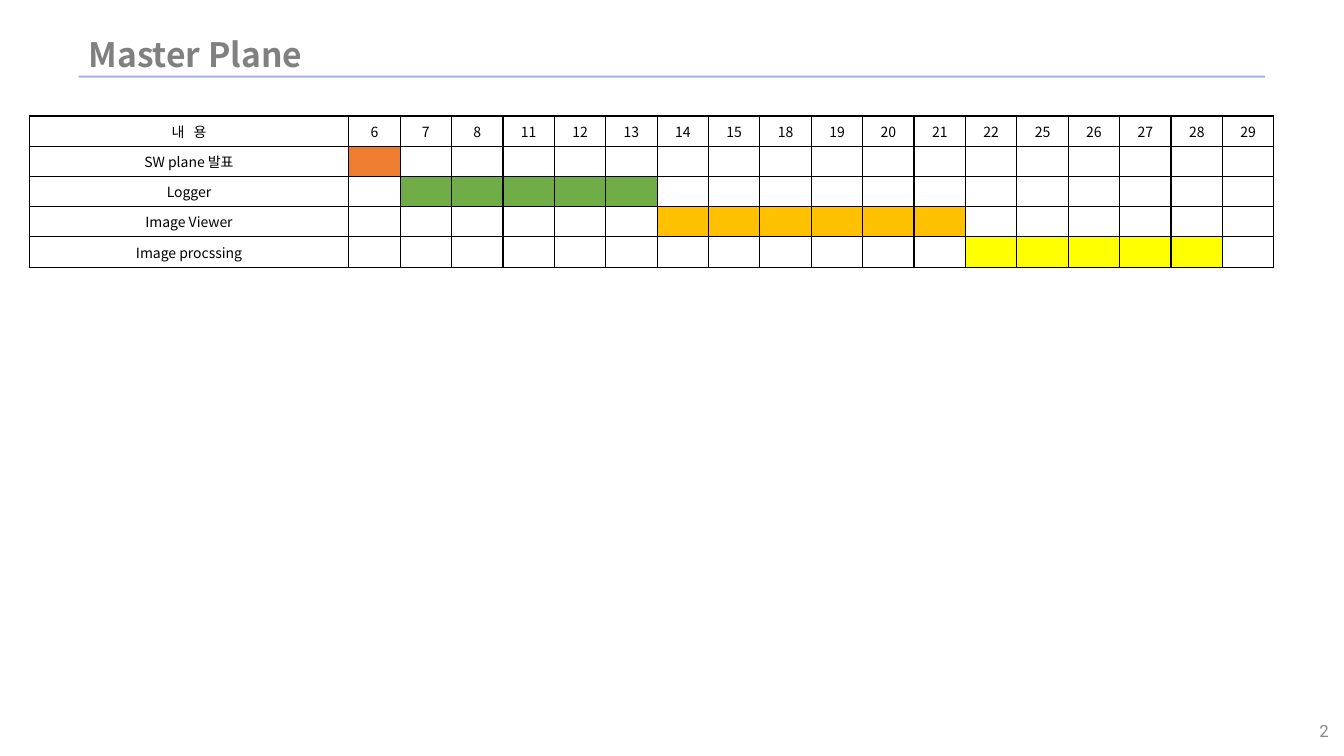
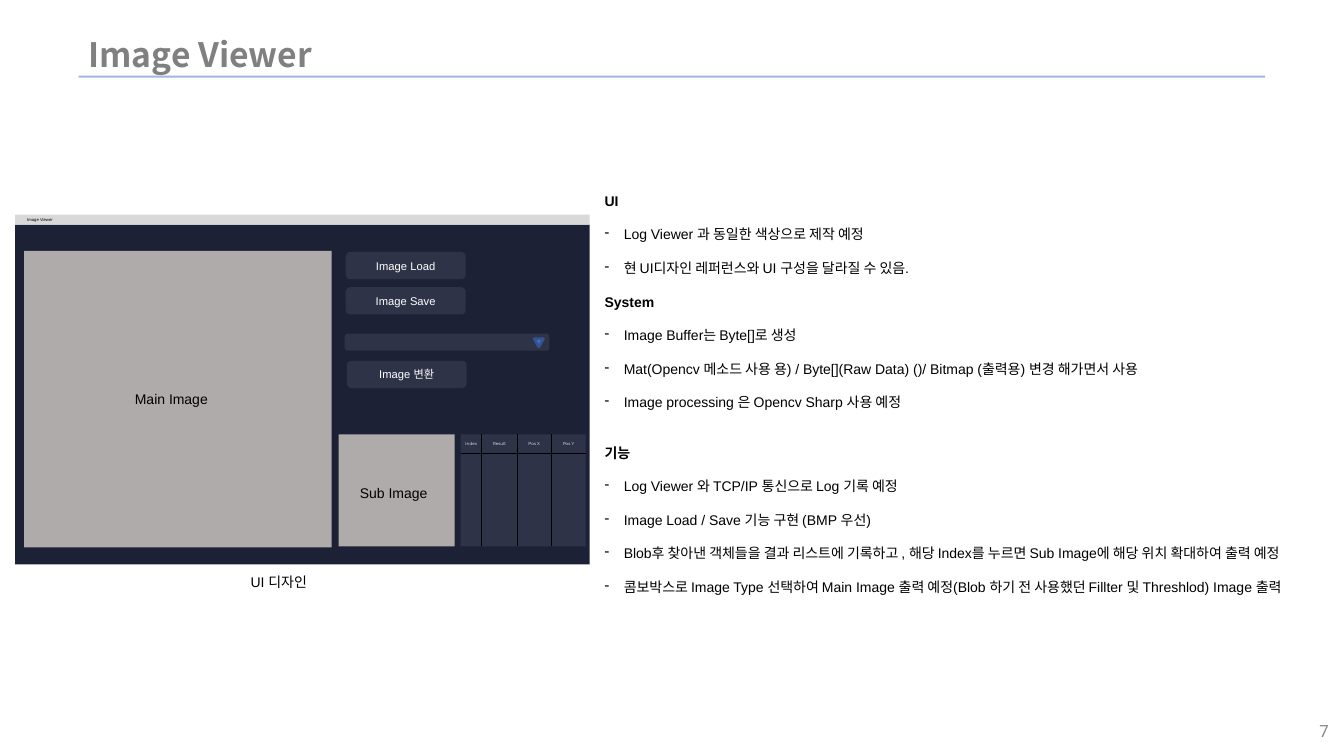
from itertools import pairwise

from lxml import etree
from pptx import Presentation
from pptx import util as u
from pptx.dml import color
from pptx.enum import shapes as sh, text as tx
from pptx.oxml import ns

CELL = 0.1
WIDE, HIGH = 133.33, 75
LEFT, RIGHT = 7.8, 125.5
CJK = "Noto Sans CJK KR"
BLACK, WHITE, GREY = "000000", "FFFFFF", "808080"
NAVY, PANEL, STONE = "1C2135", "2E3347", "AFABAB"
MID = tx.MSO_ANCHOR.MIDDLE
MIDDLE, END = tx.PP_ALIGN.CENTER, tx.PP_ALIGN.RIGHT
RECT = sh.MSO_SHAPE.RECTANGLE
ROUND = sh.MSO_SHAPE.ROUNDED_RECTANGLE

TITLE = dict(size=u.Pt(24), name=CJK, bold=True)
PAGE = dict(size=u.Pt(12), name="Roboto")
GRID = dict(size=u.Pt(10), name=CJK)
BODY = dict(size=u.Pt(10), name="Arial", bold=False)
HEAD = BODY | dict(bold=True)
KEY = dict(size=u.Pt(8), name="Arial")
BAR = dict(size=u.Pt(3), name="Arial")
TINY = dict(size=u.Pt(3), name="Montserrat")

DAYS = [6, 7, 8, 11, 12, 13, 14, 15, 18, 19, 20, 21, 22, 25, 26, 27, 28, 29]
TASKS = [
    ("SW plane 발표", "ED7D31", 6, 6),
    ("Logger", "70AD47", 7, 13),
    ("Image Viewer", "FFC000", 14, 21),
    ("Image procssing", "FFFF00", 22, 28),
]
NOTES = [
    ("UI", 0, [
        "Log Viewer 과 동일한 색상으로 제작 예정",
        "현 UI디자인 레퍼런스와 UI 구성을 달라질 수 있음.",
    ]),
    ("System", 0, [
        "Image Buffer는 Byte[]로 생성",
        "Mat(Opencv 메소드 사용 용) / Byte[](Raw Data) ()/ Bitmap (출력용) 변경 해가면서 사용",
        "Image processing 은 Opencv Sharp 사용 예정",
    ]),
    ("기능", 12, [
        "Log Viewer 와 TCP/IP 통신으로 Log 기록 예정",
        "Image Load / Save 기능 구현 (BMP 우선)",
        "Blob후 찾아낸 객체들을 결과 리스트에 기록하고 , 해당 Index를 누르면 Sub Image에 해당 위치 확대하여 출력 예정",
        "콤보박스로 Image Type 선택하여 Main Image 출력 예정(Blob 하기 전 사용했던 Fillter 및 Threshlod) Image 출력",
    ]),
]


def span(n):
    return u.Inches(n * CELL)


def hue(code):
    return color.RGBColor.from_string(code)


def style(item, form):
    for name, value in form.items():
        setattr(item, name, value)


def node(base, tag, **attrs):
    return etree.SubElement(base, ns.qn(tag), attrs)


def write(para, words, font, ink=BLACK, **form):
    style(para, form)
    run = para.add_run()
    run.text = words
    style(run.font, font)
    run.font.color.rgb = hue(ink)
    node(run.font._element, "a:ea", typeface=CJK)
    return run


def label(pool, box, words, font, ink=BLACK, align=None, **form):
    frame = pool.add_textbox(*map(span, box)).text_frame
    style(frame, dict(word_wrap=True) | form)
    if words:
        write(frame.paragraphs[0], words, font, ink, alignment=align)
    return frame


def block(pool, kind, box, fill):
    item = pool.add_shape(kind, *map(span, box))
    item.shadow.inherit = False
    item.fill.solid()
    item.fill.fore_color.rgb = hue(fill)
    item.line.fill.background()
    return item


def rule(pool, ends, ink=BLACK, width=0.75, alpha=100):
    item = pool.add_connector(sh.MSO_CONNECTOR.STRAIGHT, *map(span, ends))
    style(item.line, dict(width=u.Pt(width)))
    item.line.color.rgb = hue(ink)
    tint = item.line._ln.find(".//" + ns.qn("a:srgbClr"))
    node(tint, "a:alpha", val=str(alpha * 1000))
    node(item._element.spPr, "a:effectLst")


def button(pool, x, y, words):
    item = block(pool, ROUND, (x, y, 11.9, 2.7), PANEL)
    item.text_frame.vertical_anchor = MID
    write(item.text_frame.paragraphs[0], words, KEY, WHITE, alignment=MIDDLE)


def page(deck, title, number):
    pool = deck.slides.add_slide(deck.slide_layouts[6]).shapes
    rule(pool, (LEFT, 7.6, RIGHT, 7.6), "3F6FC3", 1.5, 50)
    label(pool, (LEFT, 3.1, RIGHT - LEFT, 4.5), title, TITLE, GREY, vertical_anchor=MID)
    label(pool, (106.8, 70.5, 26, 4), number, PAGE, "898989", END, vertical_anchor=MID)
    return pool


def edge(cell):
    base = cell._tc.get_or_add_tcPr()
    for side in "LRTB":
        line = node(base, "a:ln" + side, w=str(u.Pt(1)))
        node(node(line, "a:solidFill"), "a:srgbClr", val=BLACK)


def fill(cell, words, paint):
    edge(cell)
    cell.vertical_anchor = MID
    para = cell.text_frame.paragraphs[0]
    if words:
        write(para, words, GRID, alignment=MIDDLE)
    else:
        node(para._p, "a:endParaRPr", sz="1000")
    if paint:
        cell.fill.solid()
        cell.fill.fore_color.rgb = hue(paint)
    else:
        cell.fill.background()


def chart(pool):
    rows = [[("내 용", None)] + [(str(day), None) for day in DAYS]]
    for name, paint, first, last in TASKS:
        bars = [("", paint if first <= day <= last else None) for day in DAYS]
        rows.append([(name, None)] + bars)
    wide, step, tall = 31.7, 5.1, 3
    size = (wide + step * len(DAYS), tall * len(rows))
    table = pool.add_table(len(rows), len(rows[0]), *map(span, (2.9, 11.5, *size))).table
    style(table, dict(first_row=False, horz_banding=False))
    for i, col in enumerate(table.columns):
        col.width = span(step if i else wide)
    for line, row in zip(table.rows, rows):
        line.height = span(tall)
        for cell, (words, paint) in zip(line.cells, row):
            fill(cell, words, paint)
    head = table.cell(0, 0).text_frame.paragraphs[0].runs[0]
    head.font._element.set("spc", "220")


def notes(pool):
    frame = label(pool, (59, 18.6, 74.4, 43.1), "", BODY)
    pace = dict(line_spacing=u.Pt(12), space_after=u.Pt(12))
    for i, (head, gap, items) in enumerate(NOTES):
        para = frame.add_paragraph() if i else frame.paragraphs[0]
        write(para, head, HEAD, space_before=u.Pt(gap), **pace)
        for item in items:
            para = frame.add_paragraph()
            write(para, item, BODY, **pace)
            base = para._p.get_or_add_pPr()
            base.set("marL", str(span(1.9)))
            base.set("indent", str(-span(1.9)))
            node(base, "a:buChar", char="-")


def results(pool):
    top, neck, foot = 43.1, 45, 54.2
    cols = [45.7, 47.8, 51.3, 54.7, 58.1]
    block(pool, RECT, (cols[0], top, cols[-1] - cols[0], foot - top), PANEL)
    rule(pool, (cols[0], neck, cols[-1], neck))
    for x in cols[1:-1]:
        rule(pool, (x, foot, x, top))
    bare = dict.fromkeys(("margin_left", "margin_right", "margin_top", "margin_bottom"), 0)
    for (x, end), name in zip(pairwise(cols), ["Index", "Result", "Pos X", "Pos Y"]):
        box = (x, top, end - x, neck - top)
        label(pool, box, name, TINY, WHITE, MIDDLE, vertical_anchor=MID, **bare)


def mockup(pool):
    block(pool, RECT, (1.5, 22.3, 57, 33.7), NAVY)
    bar = block(pool, RECT, (1.5, 21.3, 57, 1), "D9D9D9").text_frame
    style(bar, dict(vertical_anchor=MID, margin_left=span(1.2), margin_top=0, margin_bottom=0))
    write(bar.paragraphs[0], "Image Viewer", BAR, alignment=tx.PP_ALIGN.LEFT)
    block(pool, RECT, (2.4, 24.9, 30.5, 29.4), STONE)
    block(pool, RECT, (33.6, 43.1, 11.5, 11.1), STONE)
    label(pool, (10.8, 38.2, 12.4, 2.9), "Main Image", BODY, align=MIDDLE)
    label(pool, (34, 47.6, 10.1, 2.9), "Sub Image", BODY, align=MIDDLE)
    results(pool)
    button(pool, 34.3, 25, "Image Load")
    button(pool, 34.3, 28.5, "Image Save")
    button(pool, 34.4, 35.8, "Image 변환")
    block(pool, ROUND, (34.2, 33.1, 20.3, 1.7), PANEL)
    drop = block(pool, sh.MSO_SHAPE.ISOSCELES_TRIANGLE, (53, 33.6, 0.9, 0.8), "4472C4")
    drop.rotation = 180
    drop.line.color.rgb = hue("325491")
    drop.line.width = u.Pt(2)


def main():
    deck = Presentation()
    style(deck, dict(slide_width=span(WIDE), slide_height=span(HIGH)))
    chart(page(deck, "Master Plane", "2"))
    view = page(deck, "Image Viewer", "7")
    notes(view)
    label(view, (23.2, 56.4, 8.9, 2.7), "UI 디자인", BODY, align=MIDDLE)
    mockup(view.add_group_shape().shapes)
    deck.save("out.pptx")


if __name__ == "__main__":
    main()
